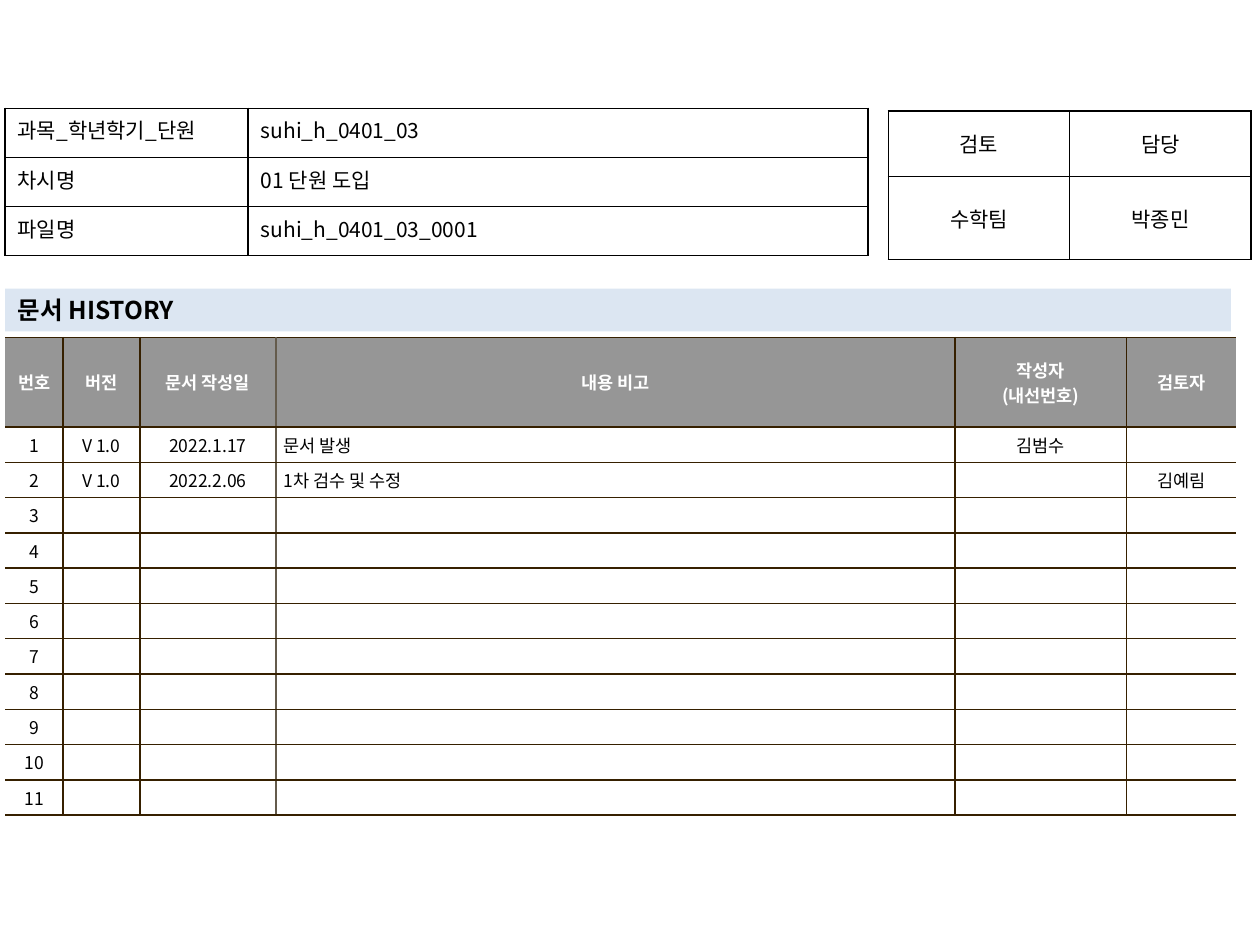
from pptx import Presentation
from pptx.dml.color import RGBColor
from pptx.enum.text import MSO_ANCHOR, PP_ALIGN
from pptx.oxml.ns import qn
from pptx.util import Inches, Pt
from lxml.etree import SubElement


def rgb(value):
    return RGBColor.from_string(value)


def write(tf, text, font="Noto Sans CJK KR", size=12, color="000000", bold=False,
          align=PP_ALIGN.LEFT):
    for i, line in enumerate(text.split("\n")):
        p = tf.paragraphs[0] if i == 0 else tf.add_paragraph()
        p.alignment = align
        if not line:
            SubElement(p._p, qn("a:endParaRPr"), sz=str(size * 100))
            continue
        r = p.add_run()
        r.text = line
        r.font.name, r.font.size, r.font.bold = font, Pt(size), bold
        r.font.color.rgb = rgb(color)
        SubElement(r._r.get_or_add_rPr(), qn("a:ea"), typeface=font)


class DocumentCover:
    """Holds the cover style and the current slide, and adds its elements."""

    grey, dark, soft, pale = "969696", "362000", "645B4C", "DCE6F2"

    def __init__(self, prs):
        self.s = prs.slides.add_slide(prs.slide_layouts[5])

    def heading(self, text, left, top, width, height):
        sp = self.s.shapes.title
        sp.left, sp.top = Inches(left), Inches(top)
        sp.width, sp.height = Inches(width), Inches(height)
        sp.fill.solid()
        sp.fill.fore_color.rgb = rgb(self.pale)
        tf = sp.text_frame
        tf.word_wrap = True
        tf.vertical_anchor = MSO_ANCHOR.TOP
        write(tf, text, size=14, bold=True)

    def border(self, cell, **sides):
        tcPr = cell._tc.get_or_add_tcPr()
        for side in "LRTB":
            color = sides[side]
            ln = SubElement(tcPr, qn(f"a:ln{side}"), w=str(Pt(1)))
            if color:
                fill = SubElement(ln, qn("a:solidFill"))
                SubElement(fill, qn("a:srgbClr"), val=color)
            else:
                SubElement(ln, qn("a:noFill"))

    def table(self, left, top, widths, heights, rows):
        frame = self.s.shapes.add_table(
            len(heights), len(widths), Inches(left), Inches(top),
            Inches(sum(widths)), Inches(sum(heights)))
        table = frame.table
        table.first_row = table.horz_banding = False
        for column, width in zip(table.columns, widths):
            column.width = Inches(width)
        for row, height in zip(table.rows, heights):
            row.height = Inches(height)
        for i, row in enumerate(rows):
            for j, text in enumerate(row):
                yield i, j, table.cell(i, j), text

    def form(self, left, top, widths, heights, rows, align, anchor):
        for i, j, cell, text in self.table(left, top, widths, heights, rows):
            self.border(cell, **dict.fromkeys("LRTB", "000000"))
            cell.fill.background()
            cell.vertical_anchor = anchor
            write(cell.text_frame, text, align=align)

    def history(self, left, top, widths, heights, rows, note=3):
        edges = [None] + [self.dark] * (len(widths) - 1) + [None]
        edges[note] = self.soft
        for i, j, cell, text in self.table(left, top, widths, heights, rows):
            header = i == 0
            self.border(cell, L=edges[j], R=edges[j + 1], T=self.dark, B=self.dark)
            cell.fill.solid()
            cell.fill.fore_color.rgb = rgb(self.grey if header else "FFFFFF")
            cell.vertical_anchor = MSO_ANCHOR.MIDDLE
            cell.margin_left = cell.margin_right = Inches(0.06)
            cell.margin_top = cell.margin_bottom = Inches(0.04)
            left_aligned = j == note and not header
            write(cell.text_frame, text, size=10, bold=header,
                  color="FFFFFF" if header else "000000",
                  align=PP_ALIGN.LEFT if left_aligned else PP_ALIGN.CENTER)


def main():
    prs = Presentation()
    prs.slide_width, prs.slide_height = Inches(10), Inches(7.5)
    cover = DocumentCover(prs)

    entries = [
        ["V 1.0", "2022.1.17", "문서 발생", "김범수", ""],
        ["V 1.0", "2022.2.06", "1차 검수 및 수정", "", "김예림"],
    ]
    entries += [[""] * 5] * 9
    header = ["번호", "버전", "문서 작성일", "내용 비고", "작성자\n(내선번호)", "검토자"]
    numbered = [[str(n), *entry] for n, entry in enumerate(entries, 1)]
    cover.history(0.04, 2.68, [0.46, 0.61, 1.08, 5.39, 1.36, 0.87],
                  [0.71] + [0.25] * len(entries), [header, *numbered])

    cover.form(7.05, 0.88, [1.44] * 2, [0.52, 0.66],
               [["검토", "담당"], ["수학팀", "박종민"]],
               PP_ALIGN.CENTER, MSO_ANCHOR.MIDDLE)
    cover.heading("문서 HISTORY", 0.04, 2.29, 9.73, 0.34)
    cover.form(0.04, 0.86, [1.93, 4.92], [0.39] * 3,
               [["과목_학년학기_단원", "suhi_h_0401_03"],
                ["차시명", "01 단원 도입"],
                ["파일명", "suhi_h_0401_03_0001"]],
               PP_ALIGN.LEFT, MSO_ANCHOR.TOP)
    prs.save("out.pptx")


if __name__ == "__main__":
    main()
